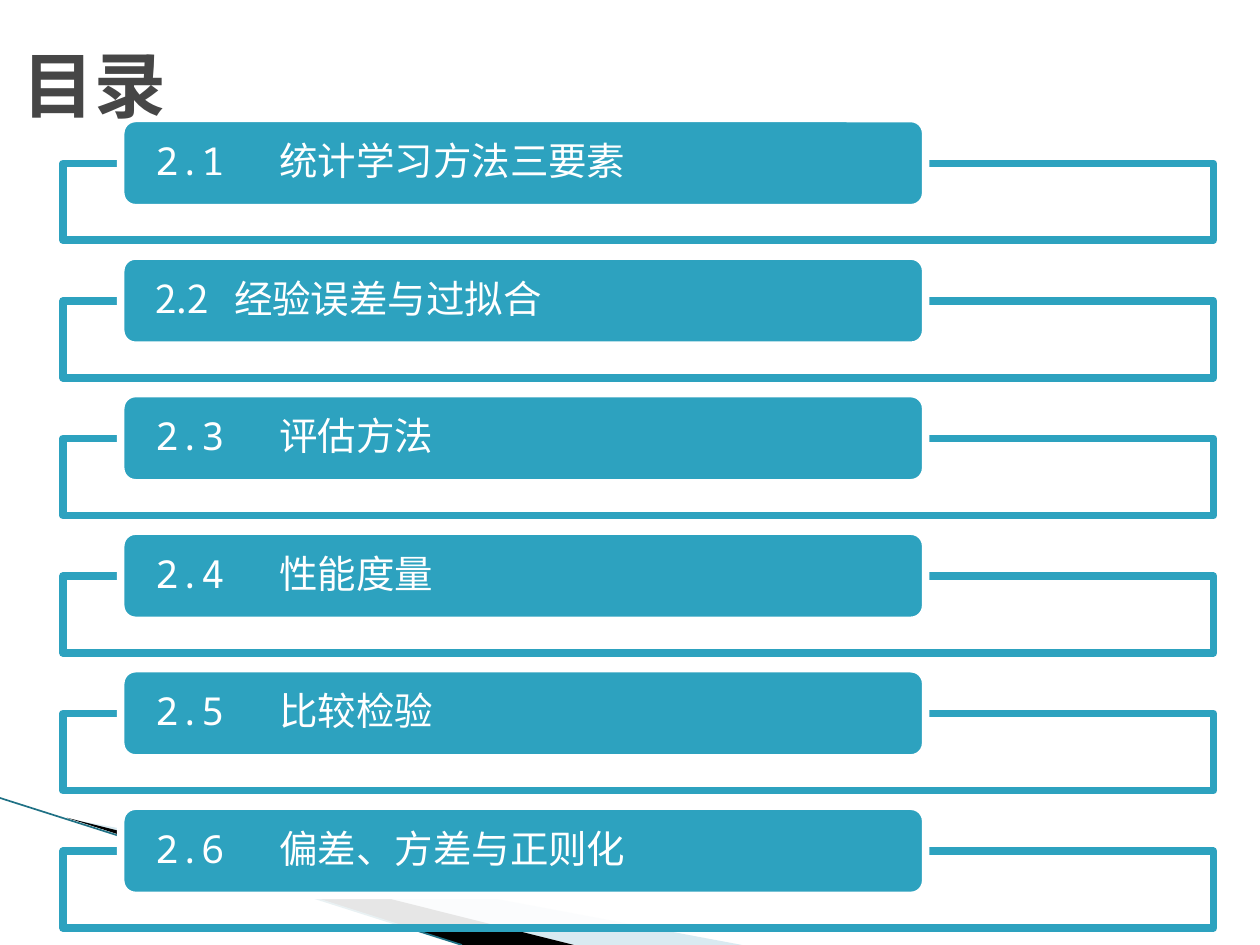
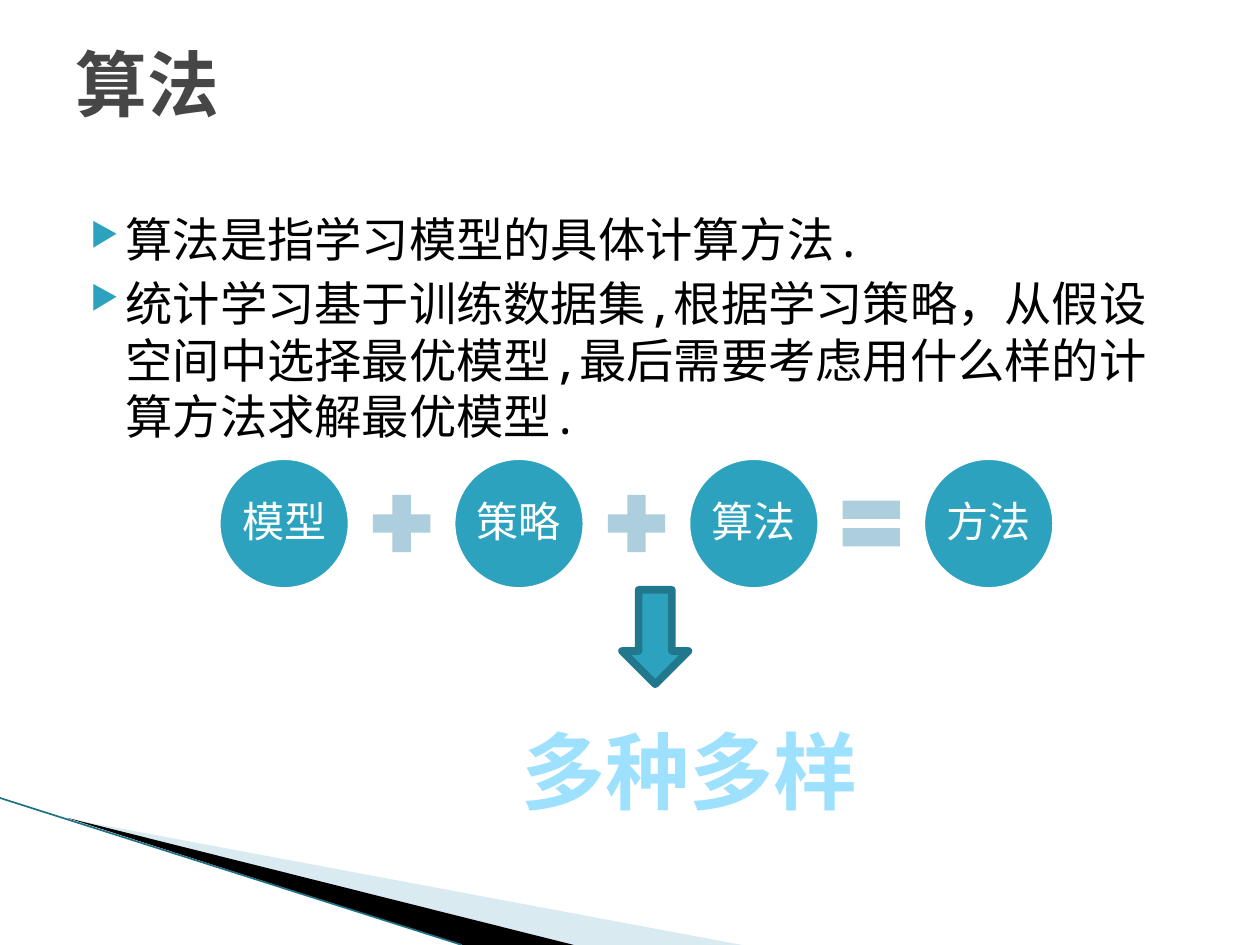
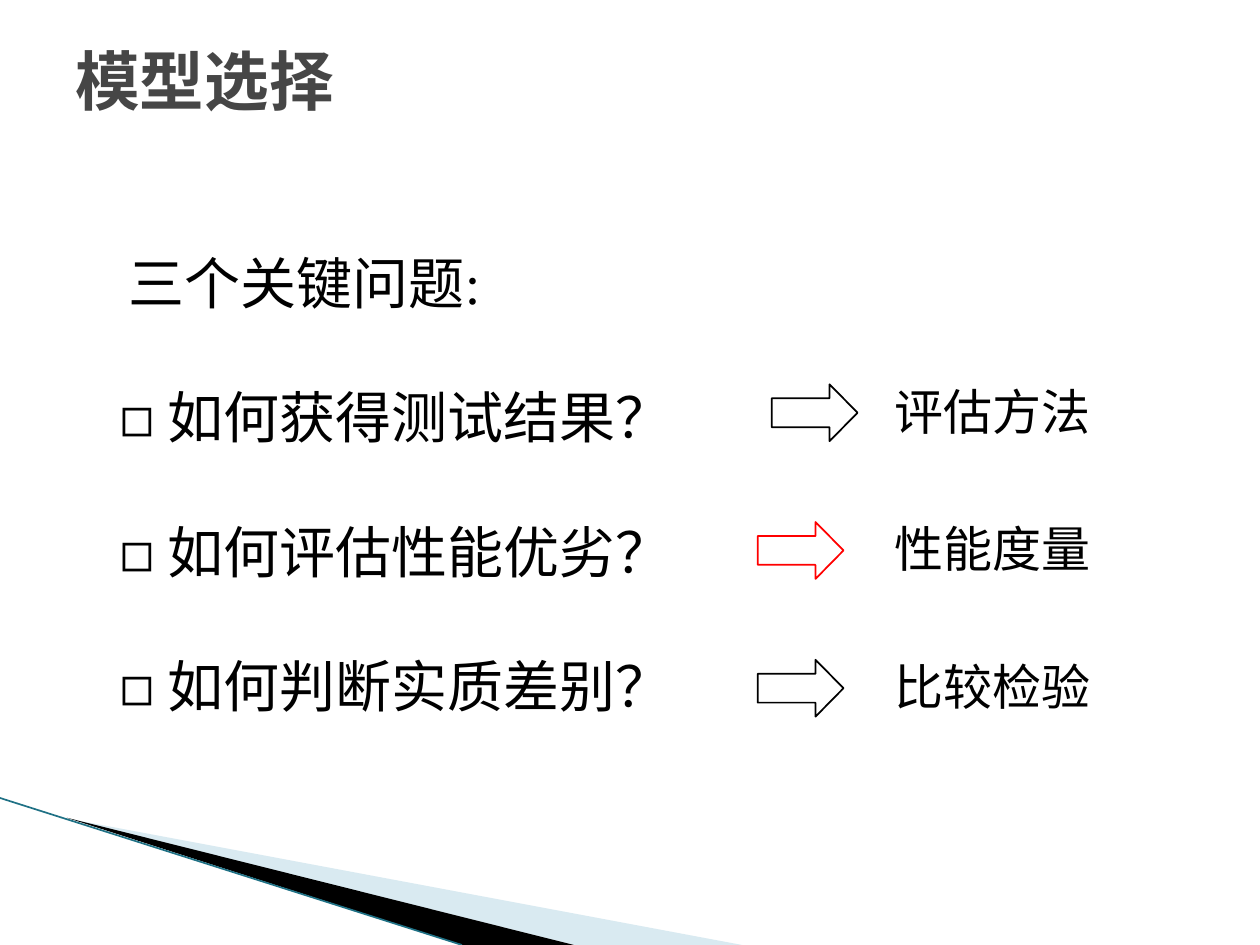
from dataclasses import dataclass

from lxml.etree import SubElement
from pptx import Presentation
from pptx.dml.color import RGBColor
from pptx.enum.shapes import MSO_CONNECTOR, MSO_SHAPE
from pptx.enum.text import MSO_ANCHOR, PP_ALIGN
from pptx.oxml.ns import qn
from pptx.shapes.base import BaseShape
from pptx.slide import Slide
from pptx.text.text import TextFrame, _Paragraph
from pptx.util import Pt

COLORS = {
    "white": "FFFFFF", "black": "000000", "title": "464646",
    "teal": "2DA2BF", "deep_teal": "21788D", "edge": "1F7185",
    "wedge": "A0CBDC", "operator": "ADCEDC", "sky": "9DE1FF", "red": "FF0000",
}
MONO, SANS, ARIAL, TIMES = "Noto Sans Mono", "Noto Sans CJK SC", "Arial", "Times New Roman"
BORDER = 4.33


@dataclass(frozen=True)
class Box:
    left: float
    top: float
    width: float
    height: float

    def lengths(self) -> tuple[Pt, Pt, Pt, Pt]:
        return Pt(self.left), Pt(self.top), Pt(self.width), Pt(self.height)


@dataclass(frozen=True)
class Style:
    size: float
    color: str = "black"
    font: str = MONO
    bold: bool = False


@dataclass(frozen=True)
class Chapter:
    number: str
    name: str
    name_indent: float = 71
    font: str = MONO


@dataclass(frozen=True)
class Question:
    text: str
    answer: str
    arrow_left: float = 433
    arrow_color: str = "black"


CHAPTERS = [
    Chapter("2.1", "统计学习方法三要素"),
    Chapter("2.2", "经验误差与过拟合", 45, SANS),
    Chapter("2.3", "评估方法"),
    Chapter("2.4", "性能度量"),
    Chapter("2.5", "比较检验"),
    Chapter("2.6", "偏差、方差与正则化"),
]
ALGORITHM_POINTS = [
    "算法是指学习模型的具体计算方法.",
    "统计学习基于训练数据集,根据学习策略，从假设空间中选择最优模型,"
    "最后需要考虑用什么样的计算方法求解最优模型.",
]
TERMS = ["模型", "策略", "算法", "方法"]
OPERATORS = [MSO_SHAPE.MATH_PLUS, MSO_SHAPE.MATH_PLUS, MSO_SHAPE.MATH_EQUAL]
QUESTIONS = [
    Question("如何获得测试结果？", "评估方法", arrow_left=441),
    Question("如何评估性能优劣？", "性能度量", arrow_color="red"),
    Question("如何判断实质差别？", "比较检验"),
]
ARROW_OUTLINE = [(0, 8), (33, 8), (33, 0), (49, 16.25), (33, 32.5), (33, 24.5), (0, 24.5)]


# Shared drawing helpers

def rgb(color: str) -> RGBColor:
    return RGBColor.from_string(COLORS[color])


def paint(shape: BaseShape, fill: str | None, line: str | None = None,
          width: float = BORDER, alpha: int = 100) -> None:
    shape.shadow.inherit = False
    if fill:
        shape.fill.solid()
        shape.fill.fore_color.rgb = rgb(fill)
        if alpha < 100:
            color = shape.fill._xPr.find(qn("a:solidFill"))[0]
            SubElement(color, qn("a:alpha"), val=str(alpha * 1000))
    else:
        shape.fill.background()
    if line:
        shape.line.color.rgb = rgb(line)
        shape.line.width = Pt(width)
    else:
        shape.line.fill.background()


def add_painted(slide: Slide, kind: MSO_SHAPE, box: Box, fill: str,
                line: str | None = None, alpha: int = 100) -> BaseShape:
    shape = slide.shapes.add_shape(kind, *box.lengths())
    paint(shape, fill, line, alpha=alpha)
    return shape


def add_outline(slide: Slide, points: list[tuple[float, float]], fill: str | None,
                line: str | None = None, width: float = 1, alpha: int = 100) -> None:
    corners = [(Pt(x), Pt(y)) for x, y in points]
    builder = slide.shapes.build_freeform(*corners[0])
    builder.add_line_segments(corners[1:], close=True)
    paint(builder.convert_to_shape(), fill, line, width, alpha)


def set_font(target, style: Style) -> None:
    target.font.name = style.font
    target.font.size = Pt(style.size)
    target.font.bold = style.bold
    target.font.color.rgb = rgb(style.color)


def set_margins(frame: TextFrame, sides: float, ends: float) -> None:
    frame.margin_left = frame.margin_right = Pt(sides)
    frame.margin_top = frame.margin_bottom = Pt(ends)


def hang(paragraph: _Paragraph, left: float, first: float) -> None:
    properties = paragraph._p.get_or_add_pPr()
    properties.set("marL", str(Pt(left)))
    properties.set("indent", str(Pt(first)))


def add_bullet(paragraph: _Paragraph) -> None:
    properties = paragraph._p.get_or_add_pPr()
    color = SubElement(properties, qn("a:buClr"))
    SubElement(color, qn("a:srgbClr"), val=COLORS["teal"])
    SubElement(properties, qn("a:buSzPct"), val="68000")
    SubElement(properties, qn("a:buChar"), char="▶")


def write(frame: TextFrame, text: str, style: Style,
          align: PP_ALIGN = PP_ALIGN.LEFT) -> _Paragraph:
    paragraph = frame.paragraphs[0]
    if paragraph.runs:
        paragraph = frame.add_paragraph()
    paragraph.text = text
    paragraph.alignment = align
    set_font(paragraph, style)
    return paragraph


def add_text_area(slide: Slide, box: Box, wrap: bool = True) -> TextFrame:
    frame = slide.shapes.add_textbox(*box.lengths()).text_frame
    frame.word_wrap = wrap
    return frame


def add_title(slide: Slide, text: str, box: Box, size: float = 41) -> TextFrame:
    frame = add_text_area(slide, box)
    frame.vertical_anchor = MSO_ANCHOR.MIDDLE
    write(frame, text, Style(size, "title", bold=True))
    return frame


def add_themed_slide(deck: Presentation) -> Slide:
    slide = deck.slides.add_slide(deck.slide_layouts[6])
    # Corner wedges and their edge line
    add_outline(slide, [(39.6, 468), (424, 540), (328, 540)], "wedge", alpha=40)
    add_outline(slide, [(38.2, 467.3), (328, 540), (264, 540)], "black")
    edge = slide.shapes.add_connector(MSO_CONNECTOR.STRAIGHT, 0, Pt(456), Pt(264), Pt(540))
    edge.line.color.rgb = rgb("edge")
    edge.line.width = Pt(0.95)
    SubElement(edge._element.spPr, qn("a:effectLst"))
    return slide


# Slides

def build_contents(deck: Presentation) -> None:
    slide = add_themed_slide(deck)
    for row, chapter in enumerate(CHAPTERS):
        top = 67.7 + 78.6 * row
        add_painted(slide, MSO_SHAPE.RECTANGLE, Box(36, top + 25.7, 657.4, 43.9),
                    "white", "teal", alpha=90)
        label = add_painted(slide, MSO_SHAPE.ROUNDED_RECTANGLE, Box(69, top, 460, 51),
                            "teal", "white")
        frame = label.text_frame
        set_margins(frame, 17.3, 0)
        frame.vertical_anchor = MSO_ANCHOR.MIDDLE
        line = write(frame, f"{chapter.number}\t{chapter.name}",
                     Style(22, "white", chapter.font))
        line.line_spacing = 0.9
        hang(line, chapter.name_indent, -chapter.name_indent)
    add_title(slide, "目录", Box(5.8, 3, 648, 90))


def build_algorithm(deck: Presentation) -> None:
    slide = add_themed_slide(deck)
    body = add_text_area(slide, Box(36, 116.6, 648, 356.4))
    for text in ALGORITHM_POINTS:
        point = write(body, text, Style(27))
        point.space_before = Pt(4)
        hang(point, 28.8, -20.2)
        add_bullet(point)
    add_title(slide, "算法", Box(36, 2.2, 160.6, 90))

    # Equation of circles and operators
    pitch = 134.2
    for column, term in enumerate(TERMS):
        circle = add_painted(slide, MSO_SHAPE.OVAL,
                             Box(123.9 + pitch * column, 260.7, 77, 77), "teal", "white")
        frame = circle.text_frame
        set_margins(frame, 2, 2)
        frame.word_wrap = False
        frame.vertical_anchor = MSO_ANCHOR.MIDDLE
        write(frame, term, Style(24, "white"), PP_ALIGN.CENTER).line_spacing = 0.9
    for column, operator in enumerate(OPERATORS):
        add_painted(slide, operator, Box(207.2 + pitch * column, 276.9, 44.6, 44.6), "operator")

    # Remark below the algorithm
    add_painted(slide, MSO_SHAPE.DOWN_ARROW, Box(355.4, 337, 38, 54), "teal", "deep_teal")
    remark = add_text_area(slide, Box(269.3, 407.5, 249, 65.5))
    write(remark, "多种多样", Style(48, "sky", bold=True), PP_ALIGN.CENTER)


def build_model_selection(deck: Presentation) -> None:
    slide = add_themed_slide(deck)
    heading = add_text_area(slide, Box(73.4, 141.8, 202.3, 37.4), wrap=False)
    questions = add_text_area(slide, Box(68.4, 220.4, 352, 190.8), wrap=False)
    answers = add_text_area(slide, Box(511.2, 223.6, 113, 185.8), wrap=False)
    for frame in (heading, questions, answers):
        set_margins(frame, 0, 0)

    opening = heading.paragraphs[0]
    opening.line_spacing = Pt(38.8)
    for text, font in (("三个关键问题", SANS), (":", TIMES)):
        run = opening.add_run()
        run.text = text
        set_font(run, Style(32, font=font))

    for row, question in enumerate(QUESTIONS):
        asked = write(questions, "◻ ", Style(32, font=ARIAL))
        run = asked.add_run()
        run.text = question.text
        run.font.name = SANS
        asked.line_spacing = Pt(36.8)
        answered = write(answers, question.answer, Style(28, font=SANS))
        answered.line_spacing = Pt(28)
        if row:
            asked.space_before = Pt(40)
            answered.space_before = Pt(50.5)
        top = 219.6 + 78.7 * row
        outline = [(question.arrow_left + x, top + y) for x, y in ARROW_OUTLINE]
        add_outline(slide, outline, None, question.arrow_color)

    title = add_title(slide, "模型选择", Box(36, 21.6, 648, 90), 36.9)
    title.margin_top, title.margin_bottom = Pt(0), Pt(42)


def main() -> None:
    deck = Presentation()
    deck.slide_width, deck.slide_height = Pt(720), Pt(540)
    build_contents(deck)
    build_algorithm(deck)
    build_model_selection(deck)
    deck.save("out.pptx")


if __name__ == "__main__":
    main()
